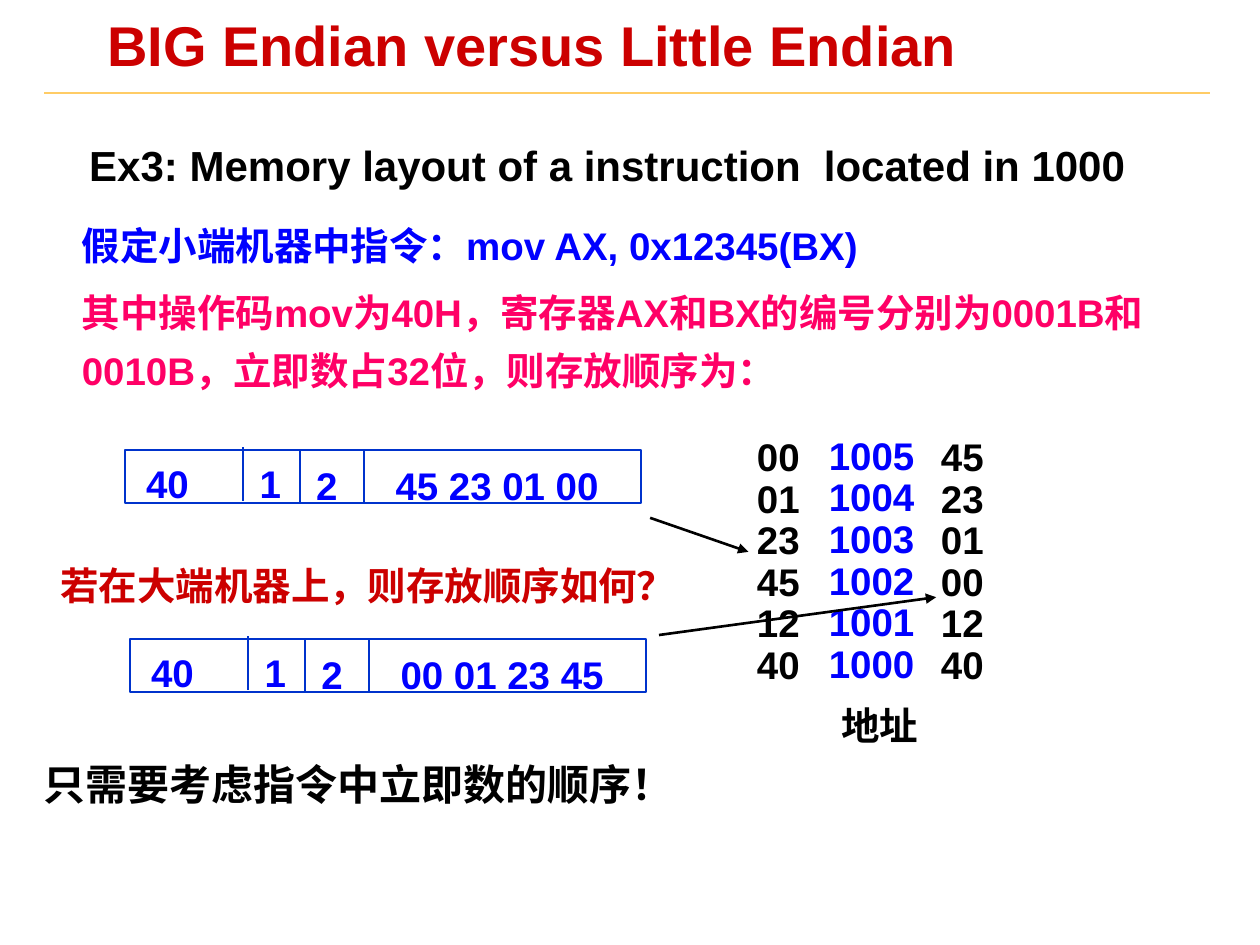
from lxml import etree
from pptx import Presentation
from pptx.dml.color import RGBColor
from pptx.enum.shapes import MSO_CONNECTOR, MSO_SHAPE
from pptx.enum.text import MSO_ANCHOR, MSO_AUTO_SIZE, PP_ALIGN
from pptx.oxml.ns import qn
from pptx.util import Inches, Pt

LINE, RECTANGLE = MSO_CONNECTOR.STRAIGHT, MSO_SHAPE.RECTANGLE
TOP, MIDDLE, LEFT = MSO_ANCHOR.TOP, MSO_ANCHOR.MIDDLE, PP_ALIGN.LEFT
FIXED, GROW = MSO_AUTO_SIZE.NONE, MSO_AUTO_SIZE.SHAPE_TO_FIT_TEXT

THEME = {
    "red": "CC0000", "blue": "0000FF", "pink": "FF0066", "black": "000000",
    "frame": "0033CC", "rule": "FFCC66",
    "title": 32, "heading": 24, "text": 22,
    "latin": "Arial", "chinese": "Noto Sans CJK SC", "serif": "Times New Roman",
    "thin": 0.99, "arrow": 1.5,
}
NARROW, WIDE = (0.07, 0.03), (0.1, 0.05)

# Content
TITLE = "BIG Endian versus Little Endian"
BODY = [
    ("假定小端机器中指令：mov AX, 0x12345(BX)", "blue"),
    ("其中操作码mov为40H，寄存器AX和BX的编号分别为0001B和0010B，"
     "立即数占32位，则存放顺序为：", "pink"),
]
# text, area, colour, size, font, margins, line spacing
NOTES = [
    ("Ex3: Memory layout of a instruction  located in 1000",
     (0.61, 1.1, 8.75, 0.46), "black", "heading", "latin", WIDE, 0.9),
    ("若在大端机器上，则存放顺序如何？",
     (0.41, 4.43, 5.38, 0.42), "red", "text", "latin", NARROW, 1),
    ("地址", (6.58, 5.52, 0.89, 0.47), "black", "text", "serif", WIDE, 1),
    ("只需要考虑指令中立即数的顺序！",
     (0.25, 5.97, 5.94, 0.5), "black", "heading", "chinese", WIDE, 1),
]
# left, top, immediate bytes in stored order
INSTRUCTIONS = [(0.99, 3.57, "45 23 01 00"), (1.03, 5.07, "00 01 23 45")]
FRAME_SIZE = (4.1, 0.42)
DIVIDERS = [(0.94, -0.02), (1.39, 0), (1.9, 0)]
FIELDS = [(0.1, 0.05, 0.73, "40"), (1, 0.05, 0.57, "1"),
          (1.45, 0.07, 0.57, "2"), (2.08, 0.07, 1.84, None)]
# left, top, width, colour, cells from the highest address down
MEMORY = [
    (5.91, 3.43, 0.54, "black", ["00", "01", "23", "45", "12", "40"]),
    (6.48, 3.42, 0.88, "blue", [str(address) for address in range(1005, 999, -1)]),
    (7.37, 3.43, 0.54, "black", ["45", "23", "01", "00", "12", "40"]),
]
MEMORY_HEIGHT = 2.08
ARROWS = [(5.16, 4.11, 5.94, 4.38), (5.23, 5.04, 7.43, 4.74)]


def color(name):
    return RGBColor.from_string(THEME[name])


def write(box, lines, size, font="latin", margins=NARROW, spacing=1.0,
          before=0, wrap=True, fit=FIXED, anchor=TOP):
    frame = box.text_frame
    frame.text = "\n".join(text for text, _ in lines)
    frame.word_wrap, frame.auto_size = wrap, fit
    frame.vertical_anchor = anchor
    frame.margin_left = frame.margin_right = Inches(margins[0])
    frame.margin_top = frame.margin_bottom = Inches(margins[1])
    for para, (_, tint) in zip(frame.paragraphs, lines):
        para.alignment, para.line_spacing = LEFT, spacing
        para.space_before = Pt(before)
        for span in para.runs:
            span.font.size, span.font.bold = Pt(THEME[size]), True
            span.font.name, span.font.color.rgb = THEME[font], color(tint)
            latin = span.font._element.find(qn("a:latin"))
            east_asian = etree.Element(qn("a:ea"), typeface=THEME["chinese"])
            latin.addnext(east_asian)


def place(shape, area):
    shape.left, shape.top, shape.width, shape.height = map(Inches, area)


def add_text(area, lines, size="text", **style):
    write(slide.shapes.add_textbox(*map(Inches, area)), lines, size, **style)


def add_line(ends, tint, width="thin", arrow=False):
    line = slide.shapes.add_connector(LINE, *map(Inches, ends))
    line.line.color.rgb, line.line.width = color(tint), Pt(THEME[width])
    if arrow:
        etree.SubElement(line.line._get_or_add_ln(), qn("a:tailEnd"), type="triangle")
    etree.SubElement(line._element.spPr, qn("a:effectLst"))


deck = Presentation()
deck.slide_width, deck.slide_height = Inches(10), Inches(7.5)
slide = deck.slides.add_slide(deck.slide_layouts[1])

# Title with its rule, and the body without bullets
add_line((0.35, 0.74, 9.6, 0.74), "rule")
title, body = slide.shapes.title, slide.placeholders[1]
place(title, (0.78, 0.13, 7.71, 0.52))
write(title, [(TITLE, "red")], "title", spacing=0.87, anchor=MIDDLE)
place(body, (0.58, 1.64, 9.12, 1.51))
write(body, BODY, "text", spacing=1.25, before=5.5)
for para in body.text_frame.paragraphs:
    properties = para._p.get_or_add_pPr()
    properties.set("marL", "0")
    properties.set("indent", "0")
    etree.SubElement(properties, qn("a:buNone"))

# Single lines of text
for text, area, tint, size, font, margins, spacing in NOTES:
    add_text(area, [(text, tint)], size, font=font, margins=margins, spacing=spacing)

# Instruction layouts
for left, top, immediate in INSTRUCTIONS:
    frame = slide.shapes.add_shape(RECTANGLE, *map(Inches, (left, top, *FRAME_SIZE)))
    frame.shadow.inherit = False
    frame.fill.background()
    frame.line.color.rgb, frame.line.width = color("frame"), Pt(THEME["thin"])
    for across, down in DIVIDERS:
        x, y = left + across, top + down
        add_line((x, y, x, y + 0.43), "frame")
    for across, down, width, text in FIELDS:
        add_text((left + across, top + down, width, 0.42), [(text or immediate, "blue")])

# Memory columns and the arrows to them
for left, top, width, tint, cells in MEMORY:
    add_text((left, top, width, MEMORY_HEIGHT), [(cell, tint) for cell in cells],
             margins=WIDE, spacing=0.9, wrap=False, fit=GROW)
for ends in ARROWS:
    add_line(ends, "black", "arrow", arrow=True)

deck.save("out.pptx")
